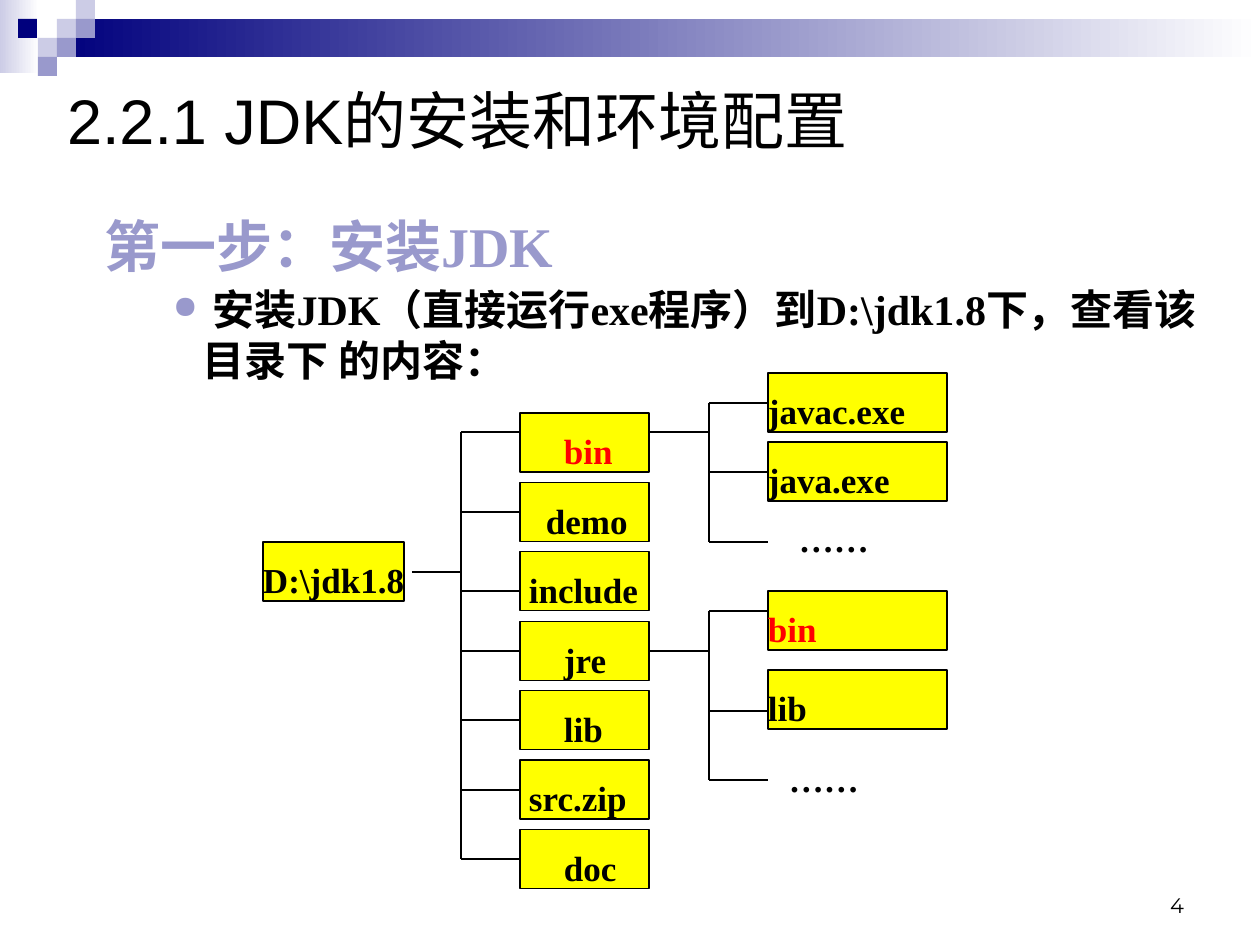
from lxml import etree
from pptx import Presentation
from pptx.dml.color import RGBColor
from pptx.enum import shapes, text
from pptx.oxml.ns import qn
from pptx.util import Emu, Pt

SCALE = 914400 / 126  # EMU in one px

NAVY = RGBColor(0x00, 0x00, 0x7D)
LAVENDER = RGBColor(0x99, 0x99, 0xCC)
PALE = RGBColor(0xCC, 0xCC, 0xE6)
WHITE = RGBColor(0xFF, 0xFF, 0xFF)
BLACK = RGBColor(0x00, 0x00, 0x00)
RED = RGBColor(0xFF, 0x00, 0x00)
YELLOW = RGBColor(0xFF, 0xFF, 0x00)
SERIF = "Times New Roman"

TITLE = "2.2.1 JDK的安装和环境配置"
STEP = "第一步：安装JDK"
INSTRUCTION = " 安装JDK（直接运行exe程序）到D:\\jdk1.8下，查看该目录下 的内容："
PAGE = "4"

GRADIENT_BARS = [((0, 0, 39, 73), PALE), ((57, 19, 1203, 38), NAVY)]
SQUARE = 19
SQUARES = [(57, 19, PALE), (76, 0, PALE), (76, 19, LAVENDER), (38, 38, PALE),
           (18, 19, NAVY), (57, 38, LAVENDER), (38, 57, LAVENDER)]

ROOT = "D:\\jdk1.8"
# name, text indent, colour, height of its branch line
FOLDERS = [("bin", 44, RED, 432), ("demo", 26, BLACK, 512),
           ("include", 9, BLACK, 591), ("jre", 44, BLACK, 651),
           ("lib", 44, BLACK, 720), ("src.zip", 9, BLACK, 790),
           ("doc", 44, BLACK, 859)]
# parent line, child boxes (name, colour, top), ellipsis place, branch lines
SUBTREES = [
    (432, [("javac.exe", BLACK, 373), ("java.exe", BLACK, 442)],
     (799, 501), (403, 472, 542)),
    (651, [("bin", RED, 591), ("lib", BLACK, 670)],
     (789, 741), (611, 711, 780)),
]
BOX_HEIGHT = 59
FOLDER_LEFT, FOLDER_WIDTH, FOLDER_TOP, FOLDER_PITCH = 520, 129, 413, 69.4
CHILD_LEFT, CHILD_WIDTH = 768, 179
TRUNK, SUBTRUNK = 461, 709


def px(*lengths):
    return [Emu(round(length * SCALE)) for length in lengths]


def write(shape, words, size, color=BLACK, font=SERIF, bold=True, spacing=None,
          wrap=True, margin=0, anchor=text.MSO_ANCHOR.TOP,
          align=text.PP_ALIGN.LEFT):
    """Put one formatted paragraph in the shape and return it."""
    frame = shape.text_frame
    frame.word_wrap = wrap
    frame.vertical_anchor = anchor
    frame.margin_left, frame.margin_right = px(margin, margin)
    frame.margin_top, frame.margin_bottom = px(margin / 2, margin / 2)
    paragraph = frame.paragraphs[0]
    paragraph.alignment = align
    if spacing:
        paragraph.line_spacing = spacing
    run = paragraph.add_run()
    run.text = words
    run.font.name, run.font.size, run.font.bold = font, Pt(size), bold
    run.font.color.rgb = color
    return paragraph


def indent(paragraph, left, first=0):
    properties = paragraph._p.get_or_add_pPr()
    for name, length in zip(("marL", "indent"), px(left, first)):
        properties.set(name, str(int(length)))
    return properties


def add_text(slide, place, words, size, **style):
    return write(slide.shapes.add_textbox(*px(*place)), words, size, **style)


def add_rectangle(slide, place):
    shape = slide.shapes.add_shape(shapes.MSO_SHAPE.RECTANGLE, *px(*place))
    shape.shadow.inherit = False
    shape.line.fill.background()
    return shape


def add_box(slide, left, top, width, words, color=BLACK, wrap=True):
    box = add_rectangle(slide, (left, top, width, BOX_HEIGHT))
    box.fill.solid()
    box.fill.fore_color.rgb = YELLOW
    box.line.color.rgb = BLACK
    box.line.width = Pt(0.75)
    return write(box, words, 20, color, spacing=1.4, wrap=wrap)


def add_line(slide, x1, y1, x2, y2):
    line = slide.shapes.add_connector(shapes.MSO_CONNECTOR.STRAIGHT,
                                      *px(x1, y1, x2, y2))
    line.line.color.rgb = BLACK
    line.line.width = Pt(1.5)
    etree.SubElement(line._element.spPr, qn("a:effectLst"))


def add_bracket(slide, parent_x, parent_y, trunk, child_x, branches):
    """Join a parent to the branch heights of its children."""
    add_line(slide, parent_x, parent_y, trunk, parent_y)
    add_line(slide, trunk, branches[0], trunk, branches[-1])
    for y in branches:
        add_line(slide, trunk, y, child_x, y)


def add_decoration(slide):
    for place, color in GRADIENT_BARS:
        fill = add_rectangle(slide, place).fill
        fill.gradient()
        fill.gradient_angle = 0
        for stop, position, stop_color in zip(fill.gradient_stops, (0, 1),
                                              (color, WHITE)):
            stop.position = position
            stop.color.rgb = stop_color
    for left, top, color in SQUARES:
        fill = add_rectangle(slide, (left, top, SQUARE, SQUARE)).fill
        fill.solid()
        fill.fore_color.rgb = color


def add_headings(slide):
    title = slide.shapes.title
    title.left, title.top, title.width, title.height = px(54, 82, 1134, 74)
    write(title, TITLE, 36, font="Arial", bold=False, margin=13,
          anchor=text.MSO_ANCHOR.MIDDLE)
    add_text(slide, (105, 185, 605, 95), STEP, 32, color=LAVENDER, spacing=1.4)
    paragraph = add_text(slide, (173, 284, 1042, 101), INSTRUCTION, 24)
    properties = indent(paragraph, 30, -30)
    color = etree.SubElement(properties, qn("a:buClr"))
    etree.SubElement(color, qn("a:srgbClr"), val=str(LAVENDER))
    etree.SubElement(properties, qn("a:buSzPct"), val="75000")
    etree.SubElement(properties, qn("a:buChar"), char="●")
    add_text(slide, (903, 861, 294, 63), PAGE, 12, font="Montserrat",
             bold=False, margin=13, anchor=text.MSO_ANCHOR.BOTTOM,
             align=text.PP_ALIGN.RIGHT)


def add_tree(slide):
    add_box(slide, 263, 542, 141, ROOT, wrap=False)
    add_bracket(slide, 412, 572, TRUNK, FOLDER_LEFT,
                [folder[-1] for folder in FOLDERS])
    for row, (name, offset, color, _) in enumerate(FOLDERS):
        top = FOLDER_TOP + row * FOLDER_PITCH
        indent(add_box(slide, FOLDER_LEFT, top, FOLDER_WIDTH, name, color),
               offset)
    for parent_y, children, ellipsis, branches in SUBTREES:
        add_bracket(slide, FOLDER_LEFT + FOLDER_WIDTH, parent_y, SUBTRUNK,
                    CHILD_LEFT, branches)
        for name, color, top in children:
            add_box(slide, CHILD_LEFT, top, CHILD_WIDTH, name, color)
        add_text(slide, (*ellipsis, CHILD_WIDTH, BOX_HEIGHT), "……", 20,
                 spacing=1.4)


def main():
    presentation = Presentation()
    presentation.slide_width, presentation.slide_height = px(1260, 945)
    slide = presentation.slides.add_slide(presentation.slide_layouts[5])
    add_decoration(slide)
    add_headings(slide)
    add_tree(slide)
    presentation.save("out.pptx")


if __name__ == "__main__":
    main()
